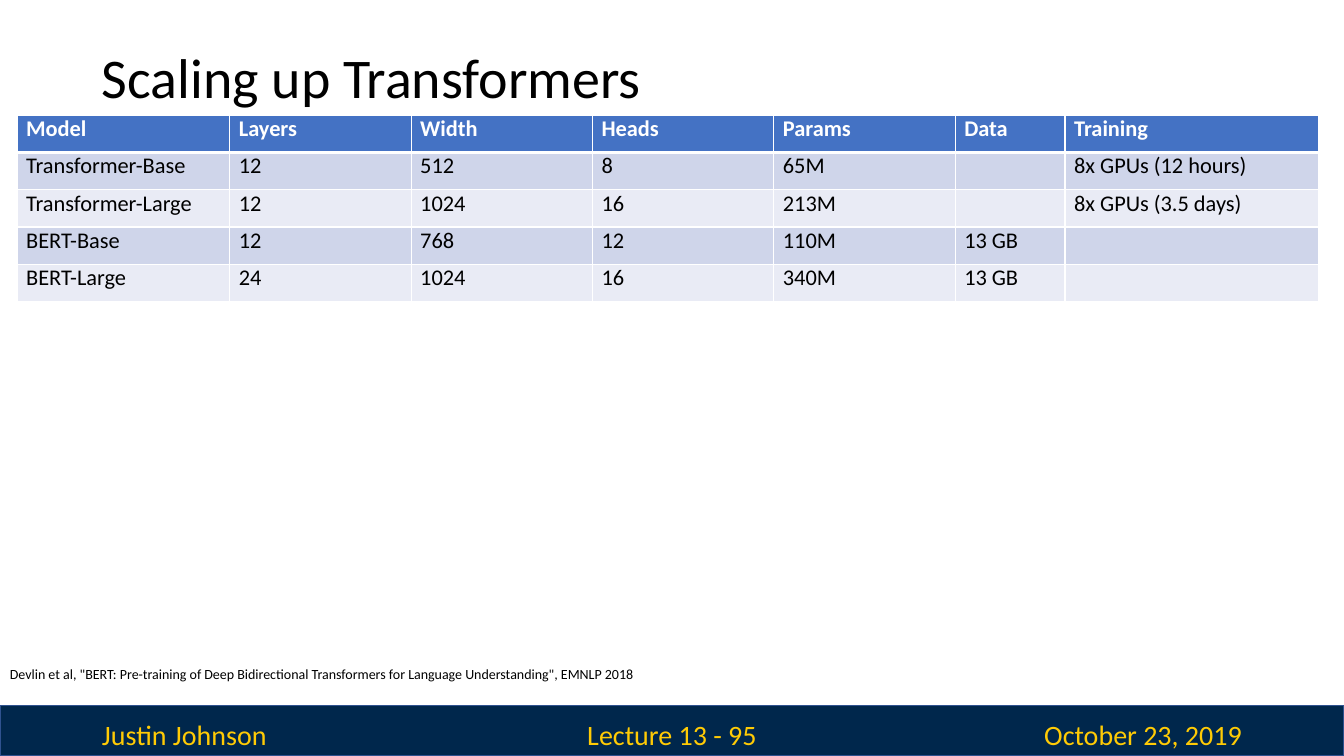
from dataclasses import dataclass

from lxml import etree
from pptx import Presentation
from pptx.dml.color import RGBColor
from pptx.enum import shapes, text
from pptx.oxml import ns
from pptx.util import Cm, Pt


@dataclass(frozen=True)
class Theme:
    font: str = "Calibri"
    black: str = "000000"
    white: str = "FFFFFF"
    navy: str = "00274C"
    navy_edge: str = "2F528F"
    maize: str = "FFCB05"
    header: str = "4472C4"
    bands: tuple = ("CFD5EA", "E9EBF5")
    title_size: int = 40
    footer_size: int = 20
    table_size: int = 16
    citation_size: int = 10


THEME = Theme()
SLIDE_WIDTH, SLIDE_HEIGHT = 33.87, 19.05
MARGIN = 2.57
BAND_HEIGHT = 1.27

COLUMN_WIDTHS = [5.36] + [4.57] * 4 + [2.77, 6.4]
ROW_HEIGHT = 0.94
MODELS = [
    ["Model", "Layers", "Width", "Heads", "Params", "Data", "Training"],
    ["Transformer-Base", "12", "512", "8", "65M", "", "8x GPUs (12 hours)"],
    ["Transformer-Large", "12", "1024", "16", "213M", "", "8x GPUs (3.5 days)"],
    ["BERT-Base", "12", "768", "12", "110M", "13 GB", ""],
    ["BERT-Large", "24", "1024", "16", "340M", "13 GB", ""],
]
FOOTER = [
    ("Justin Johnson", text.PP_ALIGN.LEFT),
    ("Lecture 13 - 95", text.PP_ALIGN.CENTER),
    ("October 23, 2019", text.PP_ALIGN.RIGHT),
]
CITATION = ('Devlin et al, "BERT: Pre-training of Deep Bidirectional Transformers '
            'for Language Understanding", EMNLP 2018')


def write(frame, wording, size, color, align=text.PP_ALIGN.LEFT):
    """Fill a text frame without insets, from its top edge down."""
    frame.text = wording
    frame.word_wrap = True
    frame.vertical_anchor = text.MSO_ANCHOR.TOP
    frame.margin_left = frame.margin_right = frame.margin_top = frame.margin_bottom = 0
    format_paragraph(frame.paragraphs[0], size, color, align)


def format_paragraph(paragraph, size, color, align=text.PP_ALIGN.LEFT, bold=False):
    paragraph.alignment = align
    for run in paragraph.runs:
        run.font.name = THEME.font
        run.font.size = Pt(size)
        run.font.bold = bold
        run.font.color.rgb = RGBColor.from_string(color)


def add_title(slide, wording):
    title = slide.shapes.title
    title.left, title.top = Cm(MARGIN), Cm(1.08)
    title.width, title.height = Cm(SLIDE_WIDTH - 2 * MARGIN), Cm(1.8)
    write(title.text_frame, wording, THEME.title_size, THEME.black)
    title.text_frame.auto_size = text.MSO_AUTO_SIZE.NONE


def add_label(slide, wording, left, top, width, height, size, color,
              align=text.PP_ALIGN.LEFT):
    label = slide.shapes.add_textbox(Cm(left), Cm(top), Cm(width), Cm(height))
    write(label.text_frame, wording, size, color, align)


def add_footer(slide):
    band = slide.shapes.add_shape(
        shapes.MSO_SHAPE.RECTANGLE, 0, Cm(SLIDE_HEIGHT - BAND_HEIGHT),
        Cm(SLIDE_WIDTH), Cm(BAND_HEIGHT))
    band.shadow.inherit = False
    band.fill.solid()
    band.fill.fore_color.rgb = RGBColor.from_string(THEME.navy)
    band.line.color.rgb = RGBColor.from_string(THEME.navy_edge)
    band.line.width = Pt(1)
    part_width = (SLIDE_WIDTH - 2 * MARGIN) / len(FOOTER)
    for index, (wording, align) in enumerate(FOOTER):
        add_label(slide, wording, MARGIN + index * part_width, 18.08, part_width, 0.79,
                  THEME.footer_size, THEME.maize, align)


def set_borders(cell, widths):
    """Draw white borders; widths are points for left, right, top and bottom."""
    properties = cell._tc.get_or_add_tcPr()
    for side, width in zip("LRTB", widths):
        border = etree.SubElement(properties, ns.qn(f"a:ln{side}"), w=str(Pt(width)))
        fill = etree.SubElement(border, ns.qn("a:solidFill"))
        etree.SubElement(fill, ns.qn("a:srgbClr"), val=THEME.white)


def fill_cell(cell, wording, row):
    is_header = row == 0
    set_borders(cell, (1, 1, 3 if row == 1 else 1, 3 if is_header else 1))
    cell.fill.solid()
    background = THEME.header if is_header else THEME.bands[(row - 1) % 2]
    cell.fill.fore_color.rgb = RGBColor.from_string(background)
    cell.margin_left = Cm(0.23)
    cell.margin_right = cell.margin_top = cell.margin_bottom = 0
    cell.text = wording
    format_paragraph(cell.text_frame.paragraphs[0], THEME.table_size,
                     THEME.white if is_header else THEME.black, bold=is_header)


def add_model_table(slide):
    table = slide.shapes.add_table(
        len(MODELS), len(COLUMN_WIDTHS), Cm(0.43), Cm(2.9),
        Cm(sum(COLUMN_WIDTHS)), Cm(ROW_HEIGHT * len(MODELS))).table
    for column, width in zip(table.columns, COLUMN_WIDTHS):
        column.width = Cm(width)
    for row, model in enumerate(MODELS):
        table.rows[row].height = Cm(ROW_HEIGHT)
        for column, wording in enumerate(model):
            fill_cell(table.cell(row, column), wording, row)


def main():
    deck = Presentation()
    deck.slide_width, deck.slide_height = Cm(SLIDE_WIDTH), Cm(SLIDE_HEIGHT)
    slide = deck.slides.add_slide(deck.slide_layouts[5])
    add_title(slide, "Scaling up Transformers")
    add_footer(slide)
    add_label(slide, CITATION, 0.25, 16.76, 16.5, 0.43,
              THEME.citation_size, THEME.black)
    add_model_table(slide)
    deck.save("out.pptx")


if __name__ == "__main__":
    main()
